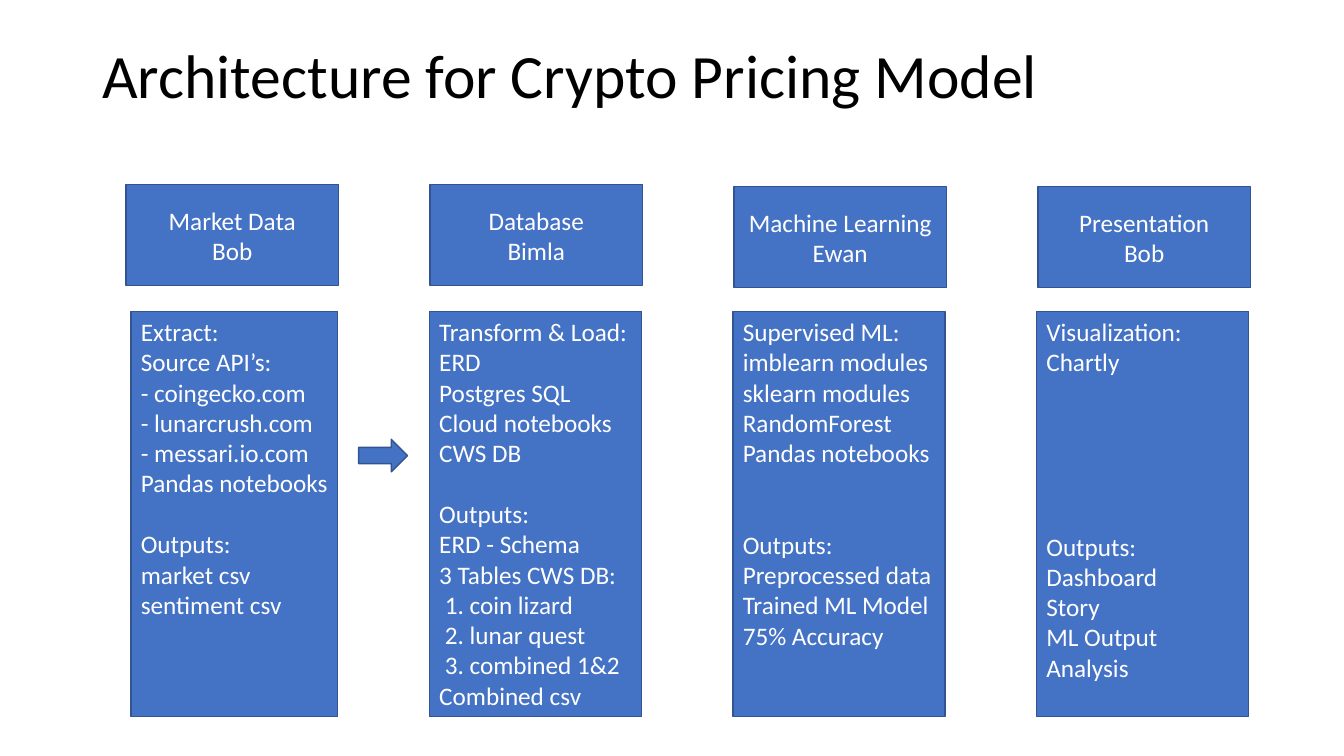
from pptx import Presentation
from pptx.dml.color import RGBColor
from pptx.enum import shapes, text
from pptx.util import Cm, Pt

COLORS = {"box": "4472C4", "outline": "325491", "light": "FFFFFF", "title": "000000"}
LINE_HEIGHT = 22  # points taken by one 18 pt line
NUMBER_INDENT = Cm(0.14)


def write_text(shape, lines, size=18, color="light", align=text.PP_ALIGN.LEFT,
               anchor=text.MSO_ANCHOR.TOP, gaps=None, spacing=None):
    """Write one paragraph per line; gaps maps a line to the blank lines above it."""
    frame = shape.text_frame
    frame.word_wrap = True
    frame.vertical_anchor = anchor
    for index, line in enumerate(lines):
        paragraph = frame.paragraphs[0] if index == 0 else frame.add_paragraph()
        paragraph.text = line
        paragraph.alignment = align
        paragraph.font.size = Pt(size)
        paragraph.font.name = "Calibri"
        paragraph.font.color.rgb = RGBColor.from_string(COLORS[color])
        if spacing:
            paragraph.line_spacing = spacing
        if gaps and line in gaps:
            paragraph.space_before = Pt(gaps[line] * LINE_HEIGHT)
        if line[:2] in ("1.", "2.", "3."):
            paragraph._p.get_or_add_pPr().set("marL", str(NUMBER_INDENT))


def add_block(kind, left, top, width, height):
    shape = slide.shapes.add_shape(kind, Cm(left), Cm(top), Cm(width), Cm(height))
    shape.shadow.inherit = False
    shape.fill.solid()
    shape.fill.fore_color.rgb = RGBColor.from_string(COLORS["box"])
    shape.line.color.rgb = RGBColor.from_string(COLORS["outline"])
    shape.line.width = Pt(1)
    return shape


presentation = Presentation()
presentation.slide_width = Cm(33.87)
presentation.slide_height = Cm(19.05)
slide = presentation.slides.add_slide(presentation.slide_layouts[6])

# Title
title = slide.shapes.add_textbox(Cm(2.33), Cm(1.02), Cm(29.21), Cm(3.68))
write_text(title, ["Architecture for Crypto Pricing Model"], size=44, color="title", spacing=0.9)

# Stages: heading, owner, heading top, details left, details width, blank lines, details
stages = [
    ("Market Data", "Bob", 4.65, 3.3, 5.21, 1,
     ["Extract:", "Source API’s:", "- coingecko.com", "- lunarcrush.com",
      "- messari.io.com", "Pandas notebooks",
      "Outputs:", "market csv", "sentiment csv"]),
    ("Database", "Bimla", 4.65, 10.82, 5.35, 1,
     ["Transform & Load: ERD", "Postgres SQL", "Cloud notebooks", "CWS DB",
      "Outputs:", "ERD - Schema", "3 Tables CWS DB:", "1. coin lizard",
      "2. lunar quest", "3. combined 1&2", "Combined csv"]),
    ("Machine Learning", "Ewan", 4.7, 18.47, 5.35, 2,
     ["Supervised ML:", "imblearn modules", "sklearn modules", "RandomForest",
      "Pandas notebooks",
      "Outputs:", "Preprocessed data", "Trained ML Model", "75% Accuracy"]),
    ("Presentation", "Bob", 4.7, 26.12, 5.35, 5,
     ["Visualization:", "Chartly",
      "Outputs:", "Dashboard", "Story", "ML Output", "Analysis"]),
]
for column, (heading, owner, top, left, width, blank_lines, details) in enumerate(stages):
    heading_box = add_block(shapes.MSO_SHAPE.RECTANGLE, 3.18 + column * 7.66, top, 5.35, 2.55)
    write_text(heading_box, [heading, owner], align=text.PP_ALIGN.CENTER,
               anchor=text.MSO_ANCHOR.MIDDLE)
    details_box = add_block(shapes.MSO_SHAPE.RECTANGLE, left, 7.85, width, 10.2)
    write_text(details_box, details, gaps={"Outputs:": blank_lines})

# Arrow from market data to database
add_block(shapes.MSO_SHAPE.RIGHT_ARROW, 9.04, 11.07, 1.23, 0.82)

presentation.save("out.pptx")
